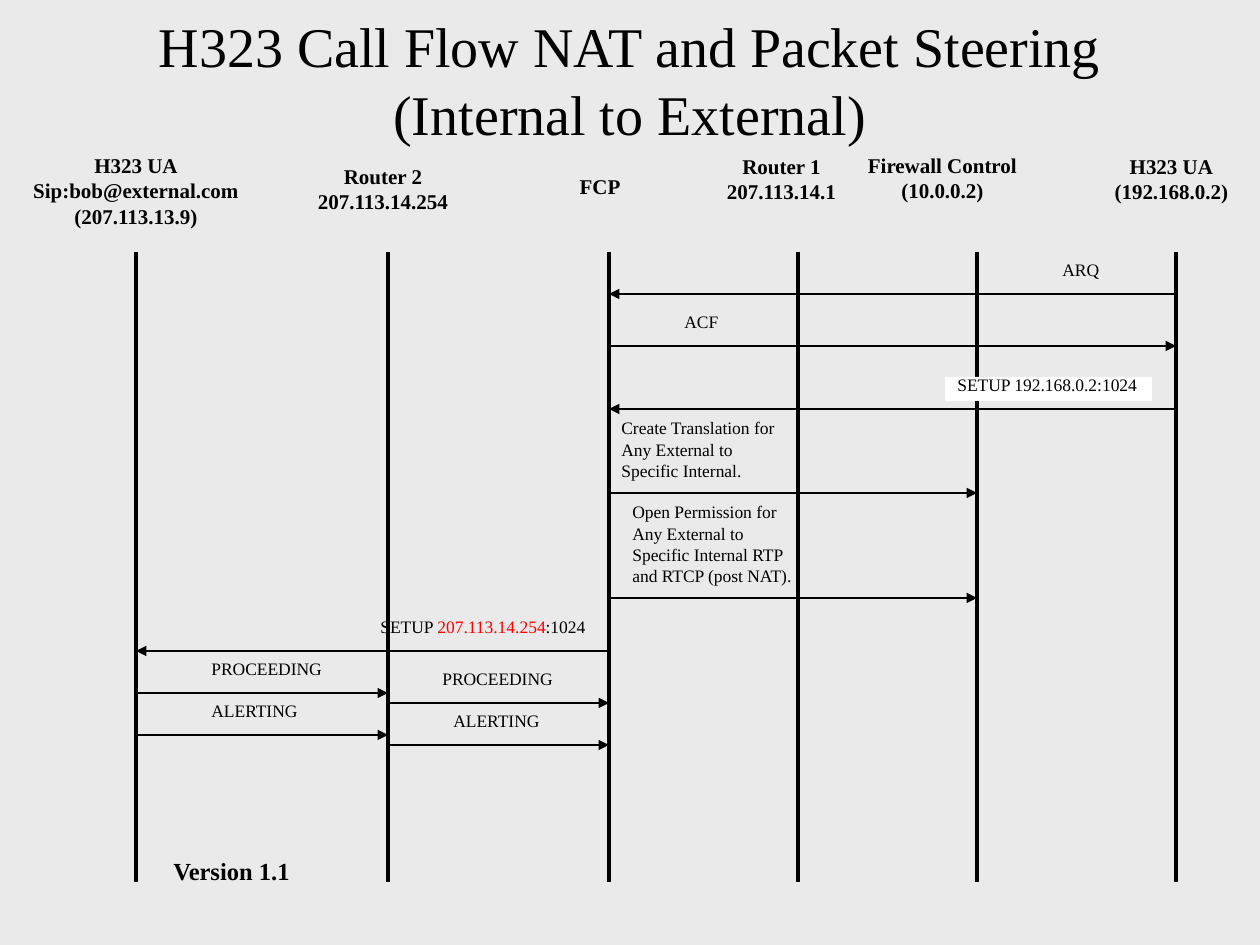
from dataclasses import dataclass

from lxml.etree import SubElement
from pptx import Presentation
from pptx.dml.color import RGBColor
from pptx.enum.shapes import MSO_CONNECTOR
from pptx.enum.text import MSO_ANCHOR, MSO_AUTO_SIZE, PP_ALIGN
from pptx.oxml.ns import qn
from pptx.util import Emu, Pt

COLORS = {"background": "EAEAEA", "ink": "000000", "accent": "FF0000", "patch": "FFFFFF"}
FONT = "Times New Roman"
PX_PER_INCH = 126
LIFELINE_TOP, LIFELINE_BOTTOM = 252, 882


@dataclass(frozen=True)
class Label:
    text: str
    left: int
    top: int
    width: int
    height: int
    size: int = 10
    bold: bool = False
    centered: bool = False
    wrap: bool = False
    tight: bool = True  # half line spacing, gap between paragraphs, box grows
    fill: str = ""
    highlight: str = ""


@dataclass(frozen=True)
class Party:
    name: str
    x: int
    left: int
    top: int
    width: int


@dataclass(frozen=True)
class Message:
    sender: str
    receiver: str
    y: int
    label: Label


def px(length: int) -> Emu:
    return Emu(round(length * 914400 / PX_PER_INCH))


def color(name: str) -> RGBColor:
    return RGBColor.from_string(COLORS[name])


def draw_label(slide, label: Label) -> None:
    box = slide.shapes.add_textbox(px(label.left), px(label.top), px(label.width), px(label.height))
    if label.fill:
        box.fill.solid()
        box.fill.fore_color.rgb = color(label.fill)
    frame = box.text_frame
    frame.word_wrap = label.wrap
    frame.auto_size = MSO_AUTO_SIZE.SHAPE_TO_FIT_TEXT if label.tight else MSO_AUTO_SIZE.NONE
    frame.text = label.text
    if label.highlight:
        before, marked, after = label.text.partition(label.highlight)
        line = frame.paragraphs[0]
        line.text = before
        for part in (marked, after):
            line.add_run().text = part
    for index, paragraph in enumerate(frame.paragraphs):
        paragraph.alignment = PP_ALIGN.CENTER if label.centered else PP_ALIGN.LEFT
        if label.tight:
            paragraph.line_spacing = 0.5
            if index:
                paragraph.space_before = Pt(label.size * 0.625)
        for run in paragraph.runs:
            run.font.name = FONT
            run.font.size = Pt(label.size)
            run.font.bold = label.bold
            marked = label.highlight and run.text == label.highlight
            run.font.color.rgb = color("accent" if marked else "ink")


def draw_line(slide, x1: int, y1: int, x2: int, y2: int, weight: float, arrow: bool = False) -> None:
    line = slide.shapes.add_connector(MSO_CONNECTOR.STRAIGHT, px(x1), px(y1), px(x2), px(y2))
    line.line.color.rgb = color("ink")
    line.line.width = Pt(weight)
    if arrow:
        SubElement(line.line._get_or_add_ln(), qn("a:tailEnd"), type="triangle")
    SubElement(line._element.spPr, qn("a:effectLst"))


def draw_title(slide) -> None:
    title = slide.shapes.add_textbox(0, 0, px(1260), px(158))
    frame = title.text_frame
    frame.word_wrap = True
    frame.vertical_anchor = MSO_ANCHOR.MIDDLE
    heading = frame.paragraphs[0]
    heading.text = "H323 Call Flow NAT and Packet Steering\n(Internal to External)"
    heading.alignment = PP_ALIGN.CENTER
    for run in heading.runs:
        run.font.name = FONT
        run.font.size = Pt(32)
        run.font.color.rgb = color("ink")


PARTIES = {
    "external": Party("H323 UA\nSip:bob@external.com\n(207.113.13.9)", 136, 19, 157, 234),
    "router2": Party("Router 2\n207.113.14.254", 388, 304, 168, 158),
    "fcp": Party("FCP", 609, 566, 178, 68),
    "router1": Party("Router 1\n207.113.14.1", 798, 713, 158, 137),
    "firewall": Party("Firewall Control\n(10.0.0.2)", 977, 854, 157, 177),
    "internal": Party("H323 UA\n(192.168.0.2)", 1176, 1101, 158, 141),
}

MESSAGES = [
    Message("internal", "fcp", 294, Label("ARQ", 1050, 262, 64, 24)),
    Message("fcp", "internal", 346, Label("ACF", 672, 314, 61, 24)),
    Message("internal", "fcp", 409,
            Label("SETUP 192.168.0.2:1024", 945, 377, 207, 24, fill="patch")),
    Message("fcp", "firewall", 493,
            Label("Create Translation for\nAny External to\nSpecific Internal.",
                  609, 420, 189, 67, wrap=True)),
    Message("fcp", "firewall", 598,
            Label("Open Permission for\nAny External to\nSpecific Internal RTP\nand RTCP (post NAT).",
                  620, 504, 189, 88, wrap=True)),
    Message("fcp", "external", 651,
            Label("SETUP 207.113.14.254:1024", 368, 619, 232, 24, highlight="207.113.14.254")),
    Message("external", "router2", 693, Label("PROCEEDING", 199, 661, 138, 24)),
    Message("router2", "fcp", 703, Label("PROCEEDING", 430, 671, 138, 24)),
    Message("external", "router2", 735, Label("ALERTING", 199, 703, 114, 24)),
    Message("router2", "fcp", 745, Label("ALERTING", 441, 713, 114, 24)),
]


def main() -> None:
    deck = Presentation()
    deck.slide_width, deck.slide_height = px(1260), px(945)
    slide = deck.slides.add_slide(deck.slide_layouts[6])
    slide.background.fill.solid()
    slide.background.fill.fore_color.rgb = color("background")

    draw_title(slide)

    # Parties and their lifelines
    for party in PARTIES.values():
        draw_line(slide, party.x, LIFELINE_TOP, party.x, LIFELINE_BOTTOM, 2.25)
        height = 26 * len(party.name.splitlines())
        draw_label(slide, Label(party.name, party.left, party.top, party.width, height,
                                size=12, bold=True, centered=True))

    # Messages in call order
    for message in MESSAGES:
        draw_line(slide, PARTIES[message.sender].x, message.y,
                  PARTIES[message.receiver].x, message.y, 0.75, arrow=True)
        draw_label(slide, message.label)

    # Version note
    draw_label(slide, Label("Version 1.1", 32, 850, 399, 63, size=14, bold=True,
                            centered=True, wrap=True, tight=False))

    deck.save("out.pptx")


if __name__ == "__main__":
    main()
